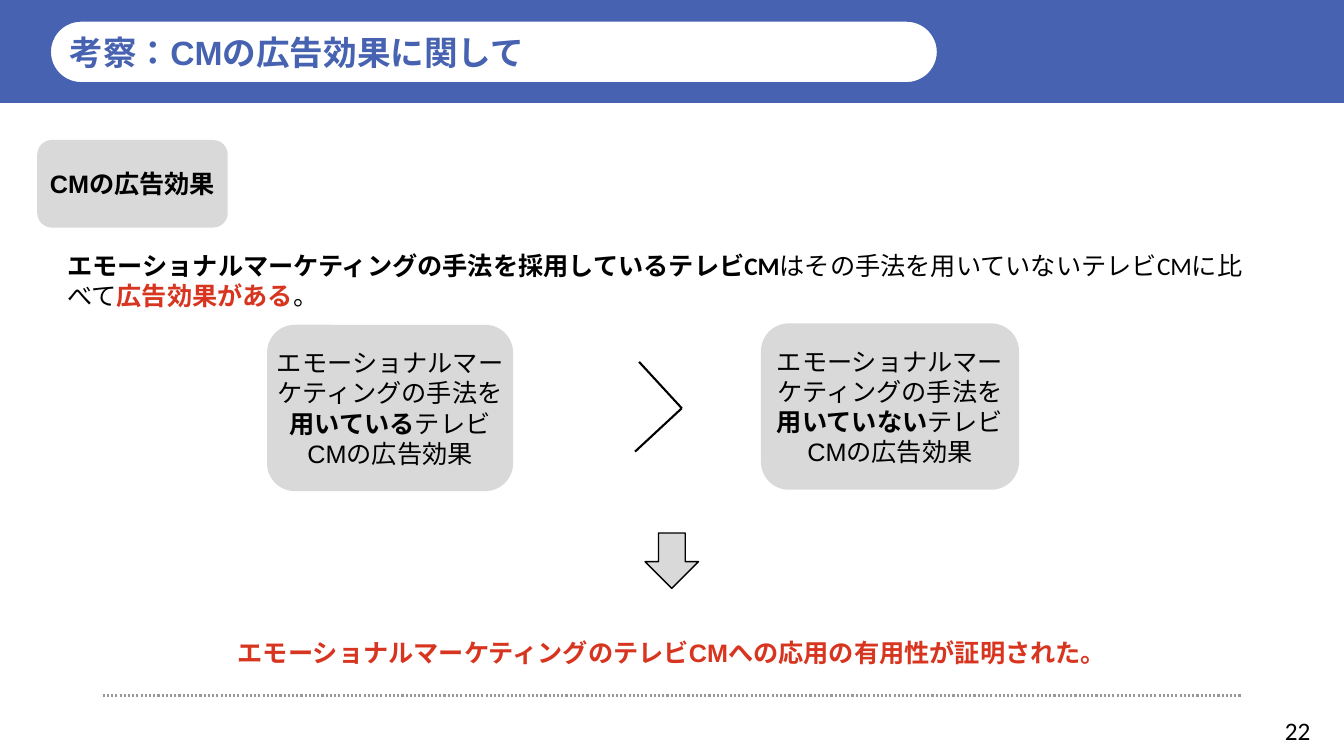
"""Build the slide on the advertising effect of TV commercials."""
from lxml.etree import SubElement
from pptx import Presentation
from pptx.dml.color import RGBColor
from pptx.enum.dml import MSO_LINE
from pptx.enum.lang import MSO_LANGUAGE_ID
from pptx.enum.shapes import MSO_CONNECTOR, MSO_SHAPE
from pptx.enum.text import MSO_ANCHOR, MSO_AUTO_SIZE, PP_ALIGN
from pptx.oxml.ns import qn
from pptx.util import Pt

COLOURS = {name: RGBColor.from_string(value) for name, value in {
    "blue": "4662B0", "white": "FFFFFF", "grey": "D9D9D9",
    "dots": "999999", "black": "000000", "red": "D7351F"}.items()}


def write(box, *spans, font="Arial", size=18, align=PP_ALIGN.LEFT,
          anchor=MSO_ANCHOR.TOP, insets=(7.2, 3.6, 7.2, 3.6), wrap=True):
    """Fill a box with one paragraph of (text, bold, colour) spans."""
    frame = box.text_frame
    frame.auto_size = MSO_AUTO_SIZE.NONE
    frame.word_wrap = wrap
    frame.vertical_anchor = anchor
    (frame.margin_left, frame.margin_top,
     frame.margin_right, frame.margin_bottom) = map(Pt, insets)
    para = frame.paragraphs[0]
    para.alignment = align
    for text, bold, colour in spans:
        span = para.add_run()
        span.text = text
        span.font.name = font
        span.font.size = Pt(size)
        span.font.bold = bold
        span.font.color.rgb = COLOURS[colour]
        span.font.language_id = MSO_LANGUAGE_ID.JAPANESE


def add_block(kind, place, fill, line=None, width=1):
    """Add a flat preset shape at a place given in points."""
    block = page.shapes.add_shape(kind, *map(Pt, place))
    block.shadow.inherit = False
    block.fill.solid()
    block.fill.fore_color.rgb = COLOURS[fill]
    if line:
        block.line.color.rgb = COLOURS[line]
        block.line.width = Pt(width)
    else:
        block.line.fill.background()
    return block


deck = Presentation()
deck.slide_width, deck.slide_height = Pt(960), Pt(540)
page = deck.slides.add_slide(deck.slide_layouts[5])

add_block(MSO_SHAPE.RECTANGLE, (0, 0, 960, 73.5), "blue")
title_place = (32.4, 11.5, 640.8, 51.1)
pill = add_block(MSO_SHAPE.ROUNDED_RECTANGLE, title_place, "white", "blue", 8)
pill.adjustments[0] = 0.5

title = page.shapes.title
title.left, title.top, title.width, title.height = map(Pt, title_place)
title.element.getparent().append(title.element)
write(title, ("考察：CMの広告効果に関して", True, "blue"), size=24,
      anchor=MSO_ANCHOR.MIDDLE, insets=(17.3, 0, 0, 0))

number = page.shapes.add_textbox(Pt(910.8), Pt(507.6), Pt(33.8), Pt(28.8))
write(number, ("22", False, "black"), font="Calibri")

method = "エモーショナルマーケティングの手法を"
effect = "テレビCMの広告効果"
labels = [
    ((26.6, 100, 136.1, 62.6), [("CMの広告効果", True, "black")]),
    ((190.8, 232, 175.7, 118.8), [(method, False, "black"),
                                  ("用いている", True, "black"),
                                  (effect, False, "black")]),
    ((543.6, 231, 184.3, 118.8), [(method, False, "black"),
                                  ("用いていない", True, "black"),
                                  (effect, False, "black")]),
]
for place, spans in labels:
    label = add_block(MSO_SHAPE.ROUNDED_RECTANGLE, place, "grey")
    write(label, *spans, align=PP_ALIGN.CENTER, anchor=MSO_ANCHOR.MIDDLE,
          insets=(0, 0, 0, 0))

claim = page.shapes.add_textbox(Pt(41), Pt(175), Pt(869.8), Pt(51))
write(claim, ("エモーショナルマーケティングの手法を採用しているテレビCM", True, "black"),
      ("はその手法を用いていないテレビCMに比べて", False, "black"),
      ("広告効果がある", True, "red"), ("。", False, "black"), font="Calibri")

add_block(MSO_SHAPE.DOWN_ARROW, (460.8, 380.7, 38.2, 39.6), "grey", "black")

tip = (487, 291.6)
rules = [((73.4, 496.8), (886.3, 496.8), "dots", MSO_LINE.ROUND_DOT),
         (tip, (456.5, 258.5), "black", MSO_LINE.SOLID),
         (tip, (453.6, 322.6), "black", MSO_LINE.SOLID)]
for start, end, colour, dash in rules:
    rule = page.shapes.add_connector(MSO_CONNECTOR.STRAIGHT, *map(Pt, start + end))
    rule.line.color.rgb = COLOURS[colour]
    rule.line.width = Pt(1.5)
    rule.line.dash_style = dash
    SubElement(rule.element.spPr, qn("a:effectLst"))

conclusion = page.shapes.add_textbox(Pt(160), Pt(451.4), Pt(640), Pt(28.8))
write(conclusion,
      ("エモーショナルマーケティングのテレビCMへの応用の有用性が証明された。", True, "red"),
      align=PP_ALIGN.CENTER, wrap=False)

deck.save("out.pptx")
